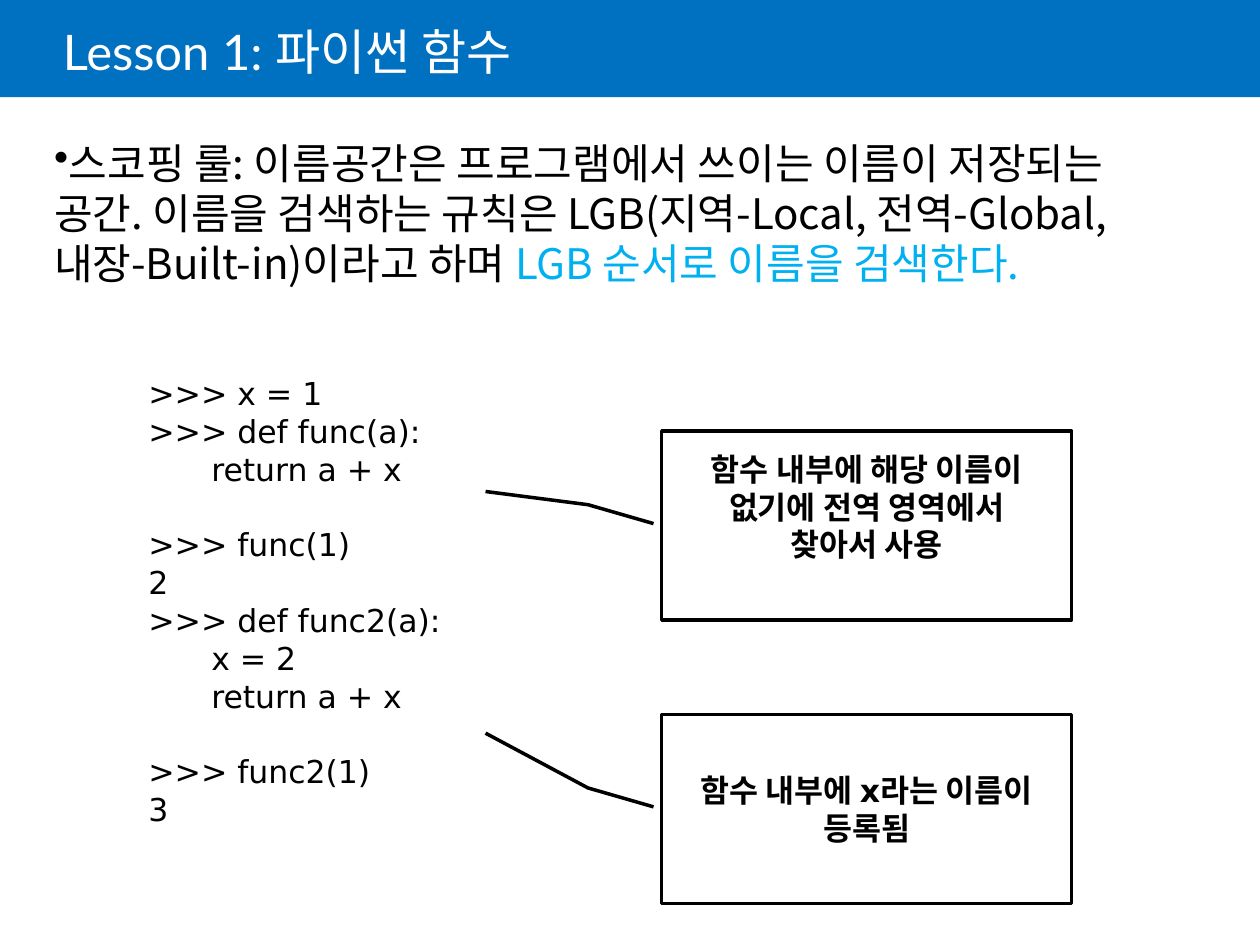
from lxml import etree
from pptx import Presentation
from pptx import util as u
from pptx.dml.color import RGBColor
from pptx.enum import shapes, text
from pptx.oxml import ns

BLUE = RGBColor(0x00, 0x70, 0xC0)
CYAN = RGBColor(0x00, 0xB0, 0xF0)
BLACK = RGBColor(0, 0, 0)
WHITE = RGBColor(255, 255, 255)
KOREAN = "Noto Sans CJK KR"
CODE = "DejaVu Sans"


def write(paragraph, words, size=18, font=CODE, color=BLACK, bold=False, spacing=1.2,
          align=text.PP_ALIGN.LEFT):
    paragraph.alignment = align
    paragraph.line_spacing = u.Pt(round(size * spacing, 1))
    run = paragraph.add_run()
    run.text = words
    run.font.size = u.Pt(size)
    run.font.name = font
    run.font.bold = bold
    run.font.color.rgb = color
    east_asian = etree.SubElement(run._r.get_or_add_rPr(), ns.qn("a:ea"))
    east_asian.set("typeface", KOREAN)


def add_text_box(left, top, width, height):
    frame = slide.shapes.add_textbox(u.Cm(left), u.Cm(top), u.Cm(width), u.Cm(height)).text_frame
    frame.word_wrap = True
    return frame


presentation = Presentation()
presentation.slide_width = u.Cm(25.4)
presentation.slide_height = u.Cm(19.05)
slide = presentation.slides.add_slide(presentation.slide_layouts[6])

banner = slide.shapes.add_shape(shapes.MSO_SHAPE.RECTANGLE, 0, 0, u.Cm(25.4), u.Cm(1.96))
banner.shadow.inherit = False
banner.fill.solid()
banner.fill.fore_color.rgb = BLUE
banner.line.fill.background()

title = add_text_box(1.27, 0, 21.59, 2.06)
title.margin_left = 0
title.vertical_anchor = text.MSO_ANCHOR.MIDDLE
write(title.paragraphs[0], "Lesson 1: 파이썬 함수", size=28, font="Lato", color=WHITE)

body = add_text_box(0.84, 2.64, 24.13, 4.37)
body_lines = [
    [("스코핑 룰: 이름공간은 프로그램에서 쓰이는 이름이 저장되는", BLACK)],
    [("공간. 이름을 검색하는 규칙은 LGB(지역-Local, 전역-Global,", BLACK)],
    [("내장-Built-in)이라고 하며 ", BLACK), ("LGB 순서로 이름을 검색한다.", CYAN)],
]
for index, line in enumerate(body_lines):
    paragraph = body.add_paragraph() if index else body.paragraphs[0]
    for words, color in line:
        write(paragraph, words, size=24, font=KOREAN, color=color)
bullet = etree.SubElement(body.paragraphs[0]._p.get_or_add_pPr(), ns.qn("a:buChar"))
bullet.set("char", "•")

callouts = [
    (8.69, "함수 내부에 해당 이름이 없기에 전역 영역에서 찾아서 사용", 0.32, 0.89),
    (14.4, "함수 내부에 x라는 이름이 등록됨", 0.1, 0.13),
]
for top, words, tip, bottom_margin in callouts:
    callout = slide.shapes.add_shape(
        shapes.MSO_SHAPE.LINE_CALLOUT_2, u.Cm(13.34), u.Cm(top), u.Cm(8.26), u.Cm(3.81))
    for index, value in enumerate([0.49, -0.02, 0.39, -0.18, tip, -0.43]):
        callout.adjustments[index] = value
    callout.shadow.inherit = False
    callout.fill.solid()
    callout.fill.fore_color.rgb = WHITE
    callout.line.color.rgb = BLACK
    callout.line.width = u.Pt(2)
    frame = callout.text_frame
    frame.word_wrap = True
    frame.vertical_anchor = text.MSO_ANCHOR.MIDDLE
    frame.margin_left = frame.margin_right = u.Cm(0.51)
    frame.margin_bottom = u.Cm(bottom_margin)
    write(frame.paragraphs[0], words, bold=True, align=text.PP_ALIGN.CENTER)

code = add_text_box(2.74, 7.42, 12.7, 9.5)
code_blocks = [
    [">>> x = 1", ">>> def func(a):", "\treturn a + x"],
    [">>> func(1)", "2", ">>> def func2(a):", "\tx = 2", "\treturn a + x"],
    [">>> func2(1)", "3"],
]
paragraph = code.paragraphs[0]
for block_number, block in enumerate(code_blocks):
    for line_number, words in enumerate(block):
        if block_number or line_number:
            paragraph = code.add_paragraph()
        if block_number and not line_number:
            paragraph.space_before = u.Pt(21.6)
        write(paragraph, words)

presentation.save("out.pptx")
